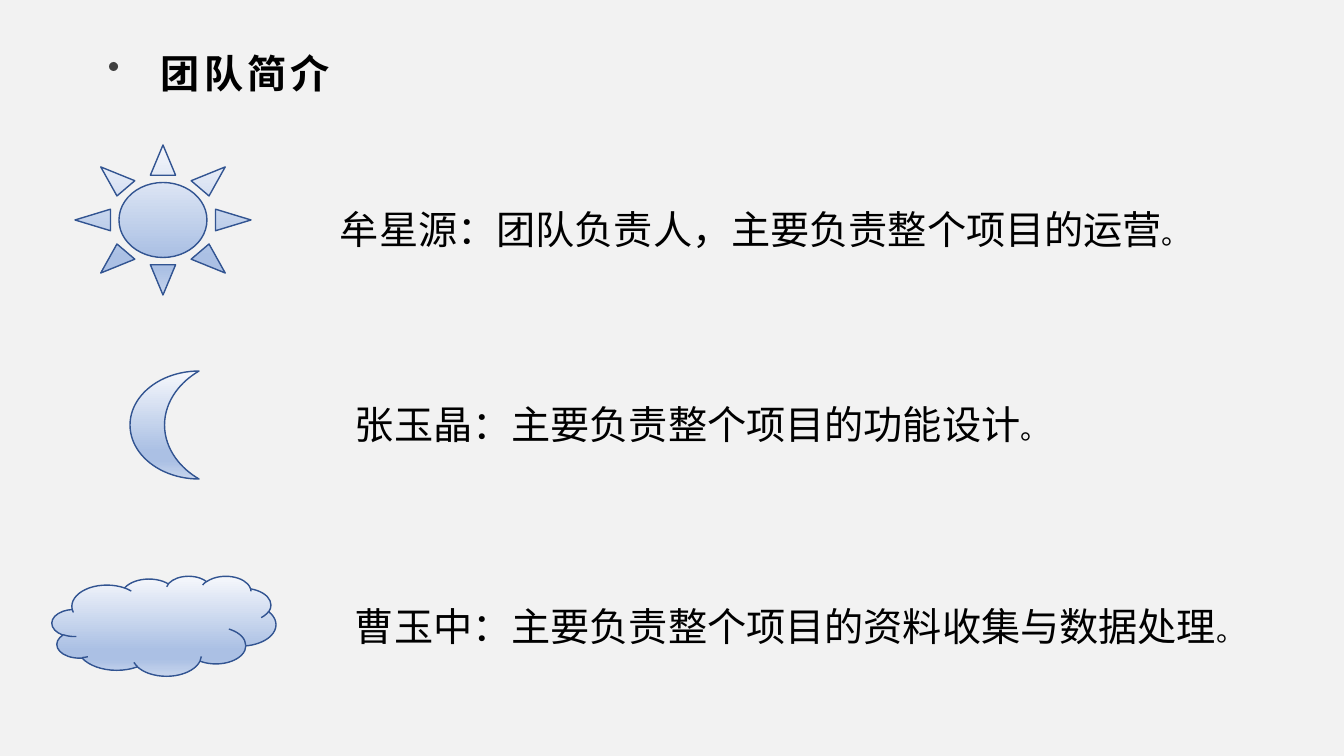
from lxml.etree import SubElement
from pptx import Presentation
from pptx.dml.color import RGBColor
from pptx.enum.shapes import MSO_SHAPE as Shape
from pptx.enum.text import MSO_AUTO_SIZE as AutoSize
from pptx.oxml.ns import qn
from pptx.util import Emu, Pt

BACKGROUND = RGBColor(0xF2, 0xF2, 0xF2)
BLACK = RGBColor(0x00, 0x00, 0x00)
DOT = RGBColor(0x40, 0x40, 0x40)
OUTLINE = RGBColor(0x32, 0x54, 0x91)
PALE = RGBColor(0xF6, 0xF8, 0xFC)
BLUE = RGBColor(0xAB, 0xC0, 0xE4)
LIGHT_BLUE = RGBColor(0xC7, 0xD5, 0xED)
SKY_STOPS = [(0, PALE), (74, BLUE), (83, BLUE), (100, LIGHT_BLUE)]


def px(*lengths):
    return [Emu(round(length * 914400 / 100.8)) for length in lengths]


class SlideBuilder:
    font = "Noto Sans CJK SC"
    size = 28
    stop_size = 20

    def __init__(self, presentation):
        self.slide = presentation.slides.add_slide(presentation.slide_layouts[6])
        background = self.slide.background.fill
        background.solid()
        background.fore_color.rgb = BACKGROUND

    def text(self, box, *runs, bold=False, spacing=0):
        """Add one line of text from (words, size) runs."""
        frame = self.slide.shapes.add_textbox(*px(*box)).text_frame
        frame.word_wrap = True
        frame.auto_size = AutoSize.SHAPE_TO_FIT_TEXT
        paragraph = frame.paragraphs[0]
        paragraph.font.name = self.font
        paragraph.font.bold = bold
        paragraph.font.color.rgb = BLACK
        for words, size in runs:
            run = paragraph.add_run()
            run.text = words
            run.font.size = Pt(size)
            properties = run.font._element
            SubElement(properties, qn("a:ea"), typeface=self.font)
            if spacing:
                properties.set("spc", str(spacing * 100))

    def dot(self, box):
        shape = self.slide.shapes.add_shape(Shape.OVAL, *px(*box))
        shape.shadow.inherit = False
        shape.fill.solid()
        shape.fill.fore_color.rgb = DOT
        shape.line.fill.background()

    def icon(self, kind, box):
        """Add a preset shape shaded from top to bottom."""
        shape = self.slide.shapes.add_shape(kind, *px(*box))
        shape.shadow.inherit = False
        shape.line.color.rgb = OUTLINE
        shape.line.width = Pt(1)
        shape.fill.gradient()
        shape.fill.gradient_angle = 270
        stops = shape._element.spPr.find(".//" + qn("a:gsLst"))
        for stop in list(stops):
            stops.remove(stop)
        for percent, color in SKY_STOPS:
            stop = SubElement(stops, qn("a:gs"), pos=str(percent * 1000))
            SubElement(stop, qn("a:srgbClr"), val=str(color))

    def member(self, kind, icon_box, left, top, words):
        self.icon(kind, icon_box)
        self.text((left, top, 972, 57), (words, self.size), ("。", self.stop_size))


def main():
    presentation = Presentation()
    presentation.slide_width, presentation.slide_height = px(1344, 756)
    builder = SlideBuilder(presentation)

    # Heading
    builder.text((151, 44, 309, 57), ("团队简介", builder.size), bold=True, spacing=3)
    builder.dot((109, 62, 9, 9))

    # Team members
    builder.member(Shape.SUN, (75, 145, 176, 150), 330, 200,
                   "牟星源：团队负责人，主要负责整个项目的运营")
    builder.member(Shape.MOON, (130, 371, 69, 108), 345, 395,
                   "张玉晶：主要负责整个项目的功能设计")
    builder.member(Shape.CLOUD, (52, 576, 224, 100), 345, 597,
                   "曹玉中：主要负责整个项目的资料收集与数据处理")

    presentation.save("out.pptx")


if __name__ == "__main__":
    main()
